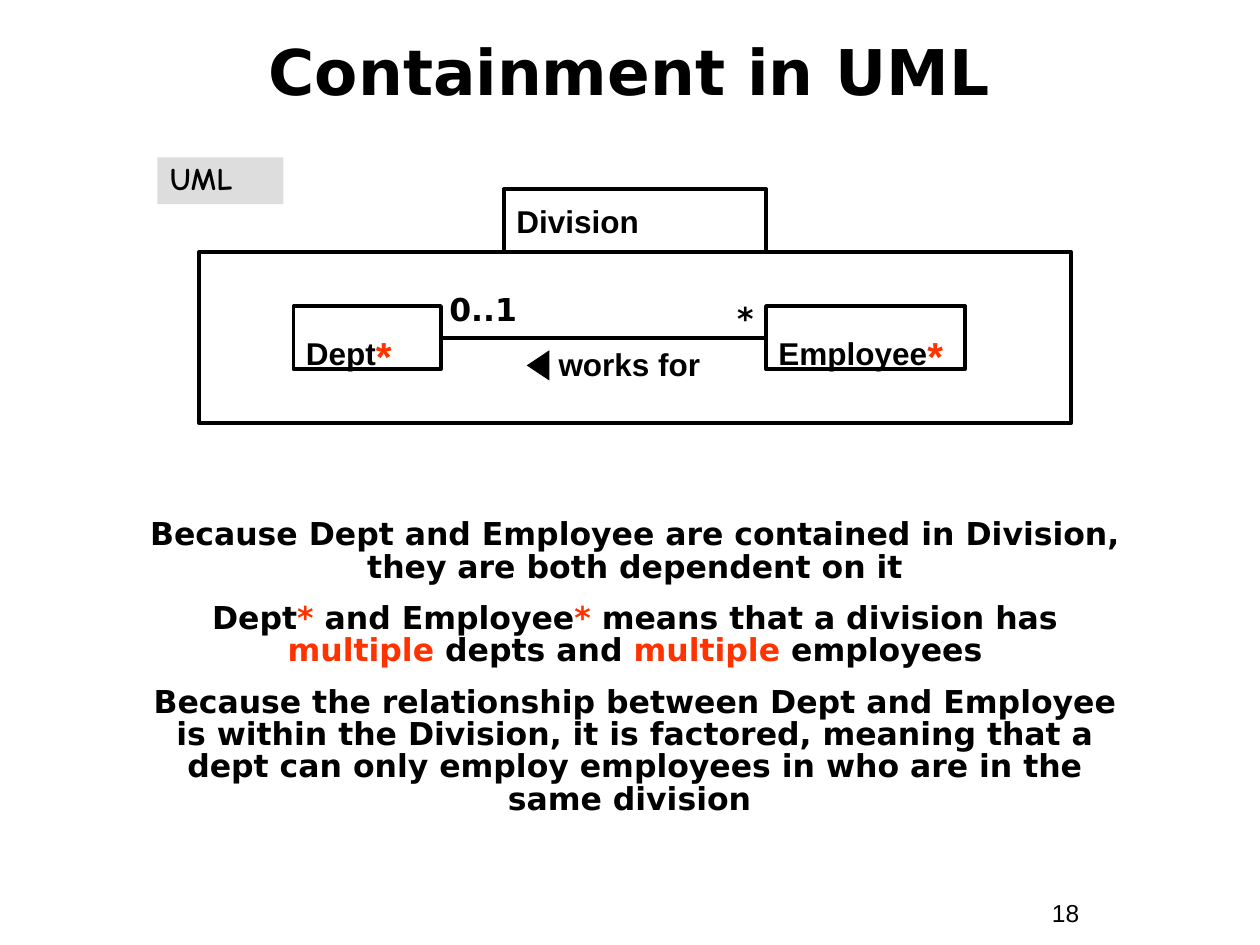
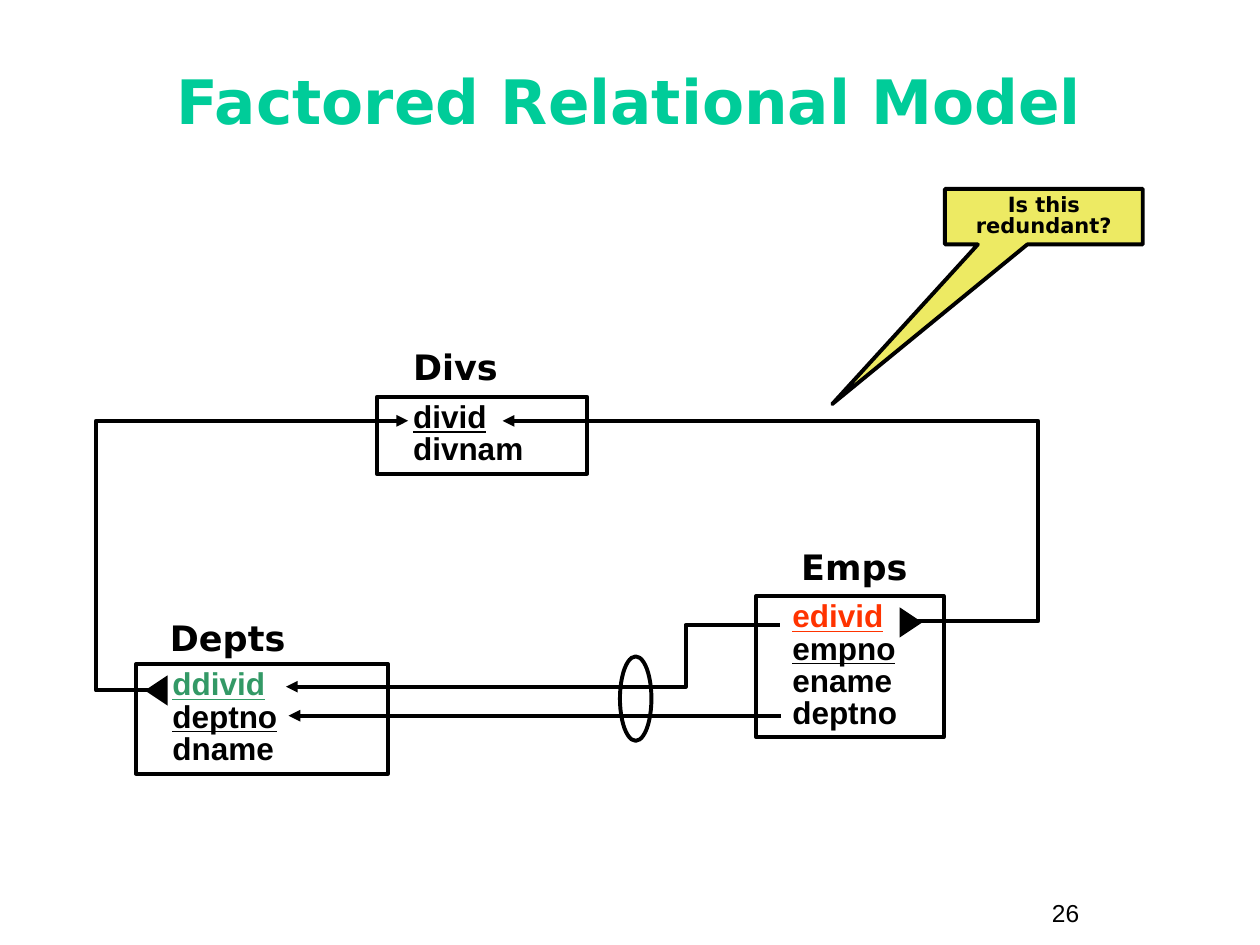
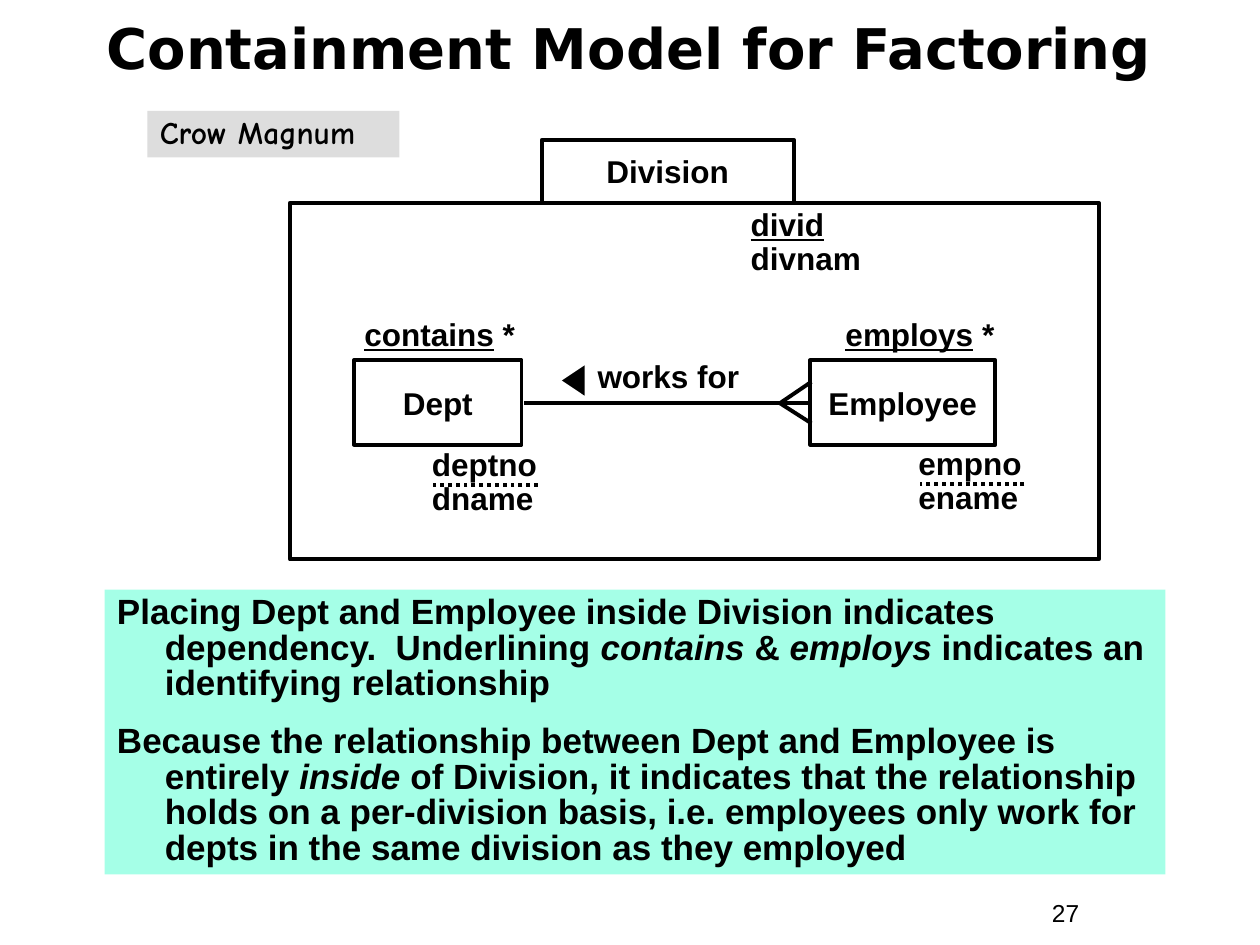
from dataclasses import dataclass

import pptx
import pptx.dml.color
import pptx.enum.dml
import pptx.enum.shapes
import pptx.enum.text
import pptx.oxml
import pptx.oxml.ns
import pptx.util

Inches = pptx.util.Inches
Pt = pptx.util.Pt
SHAPE = pptx.enum.shapes.MSO_SHAPE
CONNECTOR = pptx.enum.shapes.MSO_CONNECTOR
ALIGN = pptx.enum.text.PP_ALIGN
ANCHOR = pptx.enum.text.MSO_ANCHOR
TITLE_ONLY = 5


@dataclass(frozen=True)
class Theme:
    ink: str = "000000"
    red: str = "FF3300"
    green: str = "339966"
    mint: str = "00CC99"
    panel: str = "A5FFE7"
    tag: str = "DDDDDD"
    callout: str = "EDEA63"
    sans: str = "Arial"
    display: str = "DejaVu Sans"
    comic: str = "Comic Neue"
    body: int = 18
    heading: int = 20
    note: int = 12
    number: int = 14
    star: int = 40
    line: float = 2.25
    gap: float = 11.2


T = Theme()
STAR = ("*", {"color": T.red, "size": T.star, "baseline": -8000})


def red(text):
    return text, {"color": T.red}


def key(text, color=T.ink):
    return text, {"underline": True, "color": color}


def italic(text):
    return text, {"italic": True}


def rgb(color):
    return pptx.dml.color.RGBColor.from_string(color)


class Deck:
    """Holds the presentation, the theme and the current slide."""

    def __init__(self, theme):
        self.t = theme
        self.prs = pptx.Presentation()
        self.prs.slide_width, self.prs.slide_height = Inches(10), Inches(7.5)

    def new_slide(self, title, number, top, height, size, color=None):
        self.s = self.prs.slides.add_slide(self.prs.slide_layouts[TITLE_ONLY])
        sp = self.s.shapes.title
        sp.left, sp.top = Inches(0.33), Inches(top)
        sp.width, sp.height = Inches(9.33), Inches(height)
        self.set_text(sp, [title], size=size, font=self.t.display, color=color,
                      align=ALIGN.CENTER, anchor=ANCHOR.MIDDLE)
        self.text(8.25, 7.08, 0.92, 0.34, [str(number)], size=self.t.number,
                  bold=False, before=8.8)

    # Text: a paragraph is a string or a list of strings and (text, style) pairs
    def set_text(self, sp, paragraphs, size=None, font=None, color=None, bold=True,
                 align=ALIGN.LEFT, anchor=ANCHOR.TOP, spacing=1.0, before=0,
                 margin=0, indent=0):
        tf = sp.text_frame
        tf.word_wrap = True
        tf.auto_size = pptx.enum.text.MSO_AUTO_SIZE.NONE
        tf.vertical_anchor = anchor
        for i, pieces in enumerate(paragraphs):
            p = tf.add_paragraph() if i else tf.paragraphs[0]
            p.alignment = align
            p.line_spacing = spacing
            p.space_before = Pt(before)
            if margin:
                pPr = p._p.get_or_add_pPr()
                pPr.set("marL", str(Inches(margin)))
                pPr.set("indent", str(Inches(indent)))
            for piece in [pieces] if isinstance(pieces, (str, tuple)) else pieces:
                text, style = (piece, {}) if isinstance(piece, str) else piece
                r = p.add_run()
                r.text = text
                r.font.name = font or self.t.sans
                r.font.size = Pt(style.get("size", size or self.t.body))
                r.font.bold = bold
                r.font.italic = style.get("italic", False)
                r.font.underline = style.get("underline", False)
                r.font.color.rgb = rgb(style.get("color", color or self.t.ink))
                if "baseline" in style:
                    r._r.get_or_add_rPr().set("baseline", str(style["baseline"]))

    def text(self, x, y, w, h, paragraphs, **style):
        sp = self.s.shapes.add_textbox(Inches(x), Inches(y), Inches(w), Inches(h))
        self.set_text(sp, paragraphs, **style)

    def shape(self, x, y, w, h, kind=SHAPE.RECTANGLE, fill=None, outline=True,
              paragraphs=(), **style):
        sp = self.s.shapes.add_shape(kind, Inches(x), Inches(y), Inches(w), Inches(h))
        sp.shadow.inherit = False
        if fill:
            sp.fill.solid()
            sp.fill.fore_color.rgb = rgb(fill)
        else:
            sp.fill.background()
        if outline:
            sp.line.color.rgb = rgb(self.t.ink)
            sp.line.width = Pt(self.t.line)
        else:
            sp.line.fill.background()
        self.set_text(sp, paragraphs, **style)
        return sp

    def box(self, x, y, w, h, label, **style):
        style = {"anchor": ANCHOR.MIDDLE, "before": self.t.gap, **style}
        self.shape(x, y, w, h, paragraphs=[label], **style)

    def tag(self, x, y, w, label):
        self.shape(x, y, w, 0.37, fill=self.t.tag, outline=False,
                   paragraphs=[label], font=self.t.comic, spacing=0.9, before=2.2)

    def table_box(self, x, y, w, h, name, name_at, columns):
        self.text(*name_at, 2, 0.44, [name], size=self.t.heading, font=self.t.display)
        self.shape(x, y, w, h, paragraphs=columns, spacing=0.85, margin=0.19)

    def pointer(self, x, y, rotation):
        sp = self.shape(x, y, 0.24, 0.18, SHAPE.ISOSCELES_TRIANGLE,
                        fill=self.t.ink, outline=False)
        sp.rotation = rotation

    def line(self, start, end, bend_x=None, arrow=False, dotted=False):
        """Draw a straight line, or an elbow whose upright part is at bend_x."""
        kind = CONNECTOR.STRAIGHT if bend_x is None else CONNECTOR.ELBOW
        c = self.s.shapes.add_connector(kind, *map(Inches, start + end))
        c.line.color.rgb = rgb(self.t.ink)
        c.line.width = Pt(self.t.line)
        if dotted:
            c.line.dash_style = pptx.enum.dml.MSO_LINE.ROUND_DOT
        spPr = c._element.spPr
        qn, element = pptx.oxml.ns.qn, pptx.oxml.parse_xml
        ns = pptx.oxml.ns.nsdecls("a")
        if bend_x is not None:
            share = round((bend_x - start[0]) / (end[0] - start[0]) * 100000)
            geom = spPr.find(qn("a:prstGeom"))
            for old in geom.findall(qn("a:avLst")):
                geom.remove(old)
            geom.append(element(
                f'<a:avLst {ns}><a:gd name="adj1" fmla="val {share}"/></a:avLst>'))
        if arrow:
            spPr.find(qn("a:ln")).append(element(f'<a:tailEnd {ns} type="triangle"/>'))
        spPr.append(element(f"<a:effectLst {ns}/>"))


def containment_in_uml(d):
    d.new_slide("Containment in UML", 18, 0.1, 0.92, 36)

    # Division package with its two classes
    d.shape(1.58, 2, 6.92, 1.36)
    d.box(2.33, 2.43, 1.17, 0.5, ["Dept", STAR], before=25)
    d.box(4, 1.5, 2.08, 0.5, "Division")
    d.box(6.08, 2.43, 1.58, 0.5, ["Employee", STAR], before=25)

    # Association
    d.line((3.52, 2.68), (6.07, 2.68))
    label = {"align": ALIGN.CENTER, "before": T.gap}
    d.text(5.5, 2.36, 0.83, 0.37, ["*"], font=T.display, spacing=0.9, **label)
    d.text(3.42, 2.25, 0.83, 0.4, ["0..1"], font=T.display, **label)
    d.text(3.89, 2.64, 2.21, 0.45, ["works for"], spacing=1.15, **label)
    d.pointer(4.15, 2.81, 270)
    d.tag(1.25, 1.25, 1, "UML")

    # Explanation
    d.text(1.08, 4.08, 7.92, 2.2, [
        "Because Dept and Employee are contained in Division, "
        "they are both dependent on it",
        ["Dept", red("*"), " and Employee", red("*"), " means that a division has ",
         red("multiple"), " depts and ", red("multiple"), " employees"],
        "Because the relationship between Dept and Employee is within the Division, "
        "it is factored, meaning that a dept can only employ employees in who are "
        "in the same division ",
    ], font=T.display, spacing=0.85, **label)


def factored_relational_model(d):
    d.new_slide("Factored Relational Model", 26, 0.33, 0.92, 35, T.mint)

    # Tables
    d.table_box(1.08, 5.27, 2, 0.87, "Depts", (1.25, 4.84),
                [key("ddivid", T.green), key("deptno"), "dname"])
    d.table_box(6, 4.73, 1.49, 1.12, "Emps", (6.26, 4.28),
                [key("edivid", T.red), key("empno"), "ename", "deptno"])
    d.table_box(2.99, 3.15, 1.67, 0.61, "Divs", (3.18, 2.69),
                [key("divid"), "divnam"])

    # Foreign keys
    d.line((6.19, 4.96), (2.27, 5.45), bend_x=5.44, arrow=True)
    d.line((1.3, 5.48), (3.24, 3.34), bend_x=0.76, arrow=True)
    d.line((7.22, 4.93), (3.99, 3.34), bend_x=8.24, arrow=True)
    d.line((6.2, 5.68), (2.29, 5.68), arrow=True)
    d.shape(4.92, 5.21, 0.25, 0.67, SHAPE.OVAL)
    d.pointer(1.12, 5.39, 270)
    d.pointer(7.11, 4.85, 90)

    # Question
    callout = d.shape(7.5, 1.5, 1.57, 0.44, SHAPE.RECTANGULAR_CALLOUT, fill=T.callout,
                      paragraphs=["Is this redundant?"], size=T.note, font=T.display,
                      align=ALIGN.CENTER, spacing=0.85, before=2.2)
    callout.adjustments[0], callout.adjustments[1] = -1.07, 3.38


def containment_for_factoring(d):
    d.new_slide("Containment Model for Factoring", 27, 0, 0.75, 32)

    # Division package
    centred = {"align": ALIGN.CENTER}
    d.box(4.3, 1.11, 2, 0.5, "Division", **centred)
    d.shape(2.3, 1.61, 6.42, 2.83)
    d.tag(1.17, 0.88, 2, "Crow Magnum")
    d.text(5.86, 1.61, 1.19, 0.64, [key("divid"), "divnam"], spacing=0.9)

    # Entities, their roles and their attributes
    d.text(6.49, 2.45, 1.5, 0.4, [[key("employs"), " *"]], align=ALIGN.RIGHT, before=T.gap)
    d.text(2.42, 2.45, 2.14, 0.4, [[key("contains"), " *"]], before=T.gap, **centred)
    d.box(2.81, 2.86, 1.33, 0.67, "Dept", **centred)
    d.box(6.43, 2.86, 1.47, 0.67, "Employee", **centred)
    for x, y, attributes in ((3.33, 3.52, ["deptno", "dname"]),
                             (7.19, 3.51, ["empno", "ename"])):
        d.text(x, y, 1.19, 0.64, attributes, spacing=0.9)
        d.line((x + 0.94, y + 0.33), (x + 0.11, y + 0.33), dotted=True)

    # Relationship with crow's foot
    d.line((6.42, 3.2), (4.16, 3.2))
    for toe_y in (3.03, 3.36):
        d.line((6.19, 3.2), (6.44, toe_y))
    d.text(4.47, 2.83, 1.67, 0.36, ["works for"], spacing=0.85, before=T.gap, **centred)
    d.pointer(4.43, 2.93, 270)

    # Explanation
    d.shape(0.83, 4.68, 8.42, 2.26, fill=T.panel, outline=False, paragraphs=[
        ["Placing Dept and Employee inside Division indicates dependency.  Underlining ",
         italic("contains"), " & ", italic("employs"),
         " indicates an identifying relationship"],
        ["Because the relationship between Dept and Employee is entirely ",
         italic("inside"),
         " of Division, it indicates that the relationship holds on a per-division "
         "basis, i.e. employees only work for depts in the same division as they "
         "employed"],
    ], size=T.heading, spacing=0.85, before=12.5, margin=0.38, indent=-0.38)


def main():
    d = Deck(T)
    containment_in_uml(d)
    factored_relational_model(d)
    containment_for_factoring(d)
    d.prs.save("out.pptx")


if __name__ == "__main__":
    main()
